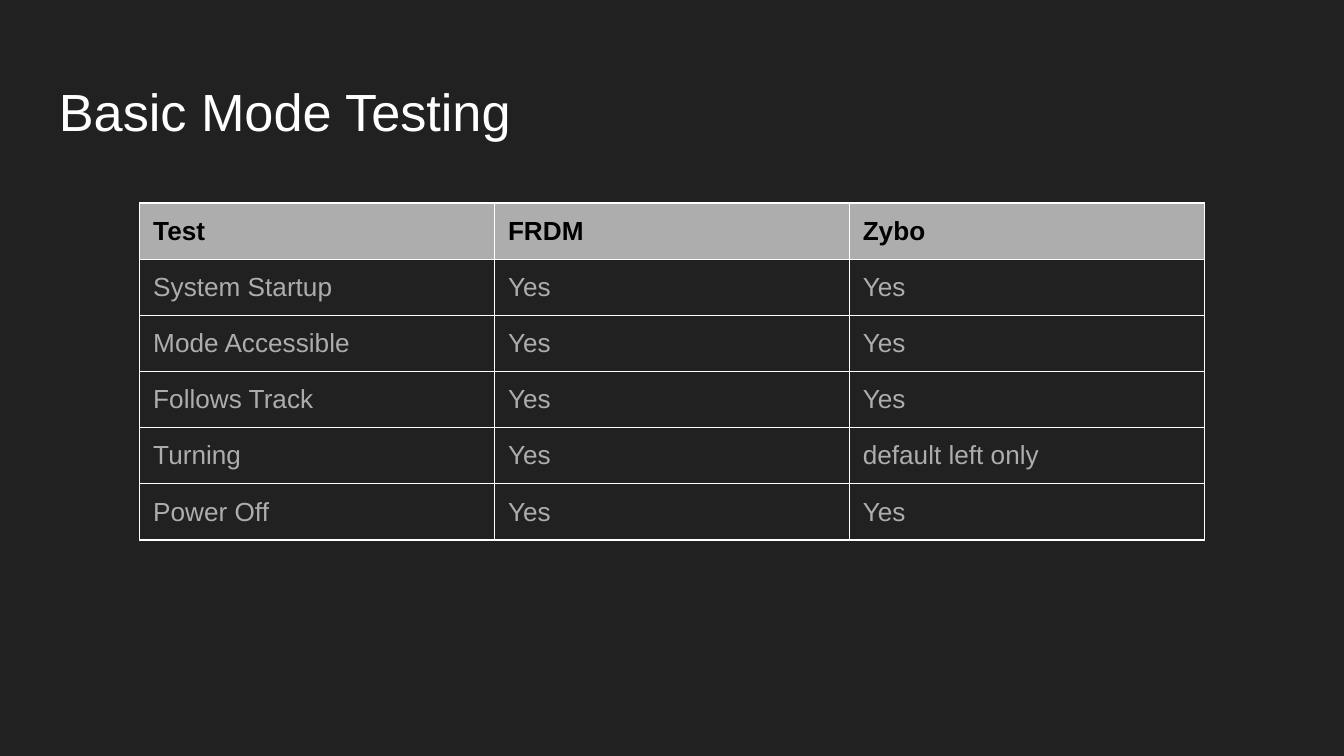
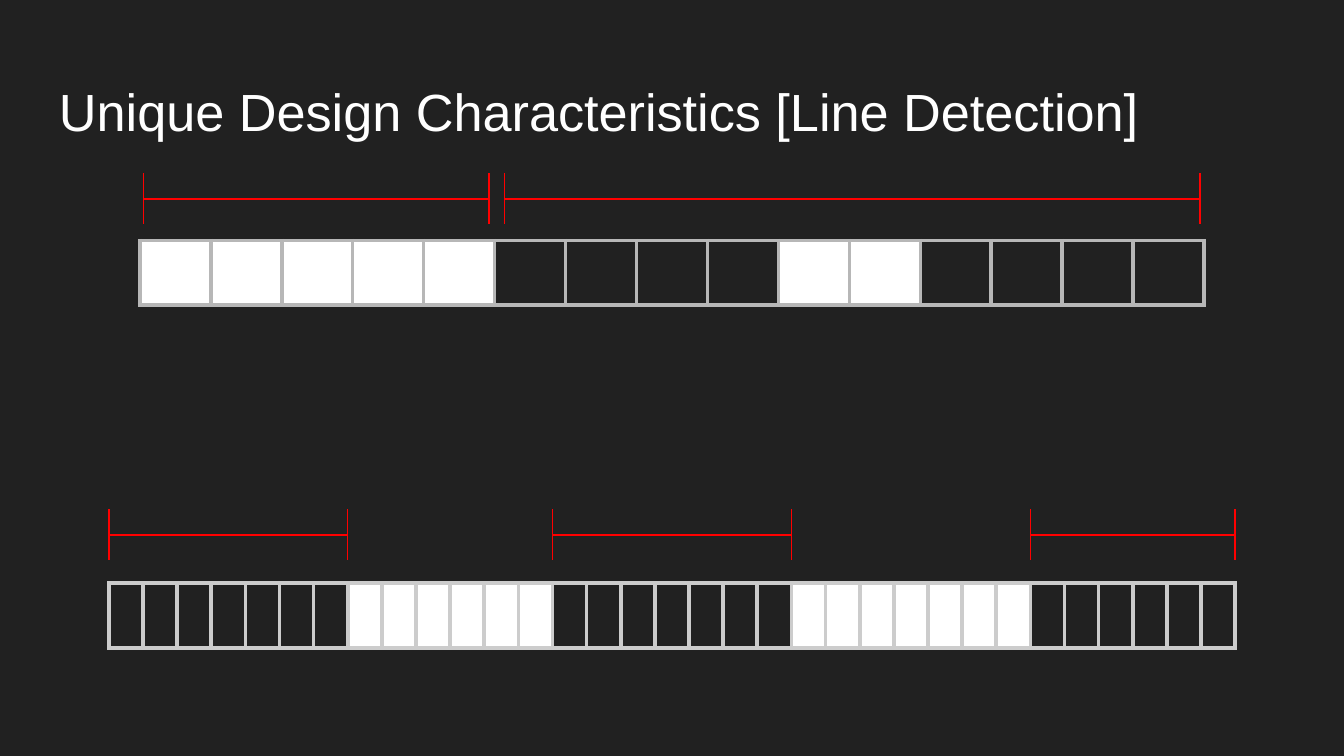
from lxml.etree import SubElement as Sub
from pptx import Presentation
from pptx.dml.color import RGBColor as Rgb
from pptx.enum.shapes import MSO_CONNECTOR as Conn
from pptx.enum.text import MSO_ANCHOR as Anchor
from pptx.oxml.ns import qn
from pptx.util import Inches, Pt

HUES = {"back": "212121", "white": "FFFFFF", "black": "000000",
        "gray": "ADADAD", "mid": "B7B7B7", "pale": "CCCCCC", "red": "FF0000"}
FONT = "Arial"
WIDE = 10
HIGH = WIDE * 9 / 16
TICK = 0.19  # half height of a span's end mark

TESTS = [
    ("Test", "FRDM", "Zybo"),
    ("System Startup", "Yes", "Yes"),
    ("Mode Accessible", "Yes", "Yes"),
    ("Follows Track", "Yes", "Yes"),
    ("Turning", "Yes", "default left only"),
    ("Power Off", "Yes", "Yes"),
]


def hue(name):
    return Rgb.from_string(HUES[name])


def style(para, size, color, bold=False):
    for run in para.runs:
        font = run.font
        font.name, font.size, font.bold = FONT, Pt(size), bold
        font.color.rgb = hue(color)


# Shared slide: dark background and title
def new_slide(deck, title):
    slide = deck.slides.add_slide(deck.slide_layouts[6])
    fill = slide.background.fill
    fill.solid()
    fill.fore_color.rgb = hue("back")
    box = slide.shapes.add_textbox(Inches(0.34), Inches(0.49),
                                   Inches(9.32), Inches(0.63))
    frame = box.text_frame
    frame.word_wrap = True
    frame.vertical_anchor = Anchor.MIDDLE
    frame.margin_left = frame.margin_right = Inches(0.1)
    frame.margin_top = frame.margin_bottom = Inches(0.1)
    frame.text = title
    para = frame.paragraphs[0]
    para.line_spacing = 1.08
    style(para, 28, "white")
    return slide


# Table cell: borders first, then fill, as the schema orders them
def paint(cell, edge, width, fill):
    props = cell._tc.get_or_add_tcPr()
    for side in ("lnL", "lnR", "lnT", "lnB"):
        line = Sub(props, qn(f"a:{side}"), w=str(Pt(width)))
        Sub(Sub(line, qn("a:solidFill")), qn("a:srgbClr"), val=HUES[edge])
    if fill:
        cell.fill.solid()
        cell.fill.fore_color.rgb = hue(fill)
    else:
        cell.fill.background()


def add_grid(slide, box, rows, cols):
    left, top, width, height = box
    table = slide.shapes.add_table(rows, cols, *map(Inches, box)).table
    table.first_row = table.horz_banding = False
    for col in table.columns:
        col.width = Inches(width / cols)
    for row in table.rows:
        row.height = Inches(height / rows)
    return table


# Table of test results with a filled header row
def add_tests(slide, box, data):
    table = add_grid(slide, box, len(data), len(data[0]))
    for r, row in enumerate(data):
        head = r == 0
        for c, text in enumerate(row):
            cell = table.cell(r, c)
            paint(cell, "white", 0.75, "gray" if head else None)
            cell.margin_left = cell.margin_right = Inches(0.1)
            cell.margin_top, cell.margin_bottom = Inches(0.1), Inches(0.08)
            cell.text = text
            style(cell.text_frame.paragraphs[0], 14,
                  "black" if head else "gray", head)


def add_line(slide, x1, y1, x2, y2):
    line = slide.shapes.add_connector(Conn.STRAIGHT,
                                      *map(Inches, (x1, y1, x2, y2)))
    line.line.color.rgb = hue("red")
    line.line.width = Pt(0.75)
    Sub(line._element.spPr, qn("a:effectLst"))


# Strip of pixels: "#" is lit, "." is dark; spans count in columns
def add_strip(slide, box, cells, edge, spans, gap):
    left, top, width, height = box
    table = add_grid(slide, box, 1, len(cells))
    for c, mark in enumerate(cells):
        cell = table.cell(0, c)
        paint(cell, edge, 2.25, "white" if mark == "#" else None)
        cell.margin_top = cell.margin_bottom = 0
    step = width / len(cells)
    y = top - gap
    for span in spans:
        x1, x2 = (left + step * col for col in span)
        add_line(slide, x1, y, x2, y)
        for x in (x1, x2):
            add_line(slide, x, y - TICK, x, y + TICK)


def main():
    deck = Presentation()
    deck.slide_width, deck.slide_height = Inches(WIDE), Inches(HIGH)

    # Test results
    slide = new_slide(deck, "Basic Mode Testing")
    add_tests(slide, (1.04, 1.51, 7.92, 2.51), TESTS)

    # Line detection
    slide = new_slide(deck, "Unique Design Characteristics [Line Detection]")
    add_strip(slide, (1.04, 1.79, 7.92, 0.48),
              "#" * 5 + "." * 4 + "#" * 2 + "." * 4, "mid",
              [(0.05, 4.92), (5.14, 14.94)], 0.31)
    add_strip(slide, (0.81, 4.34, 8.38, 0.48),
              "." * 7 + "#" * 6 + "." * 7 + "#" * 7 + "." * 6, "pale",
              [(0, 7), (13, 20), (27, 33)], 0.36)

    deck.save("out.pptx")


if __name__ == "__main__":
    main()
